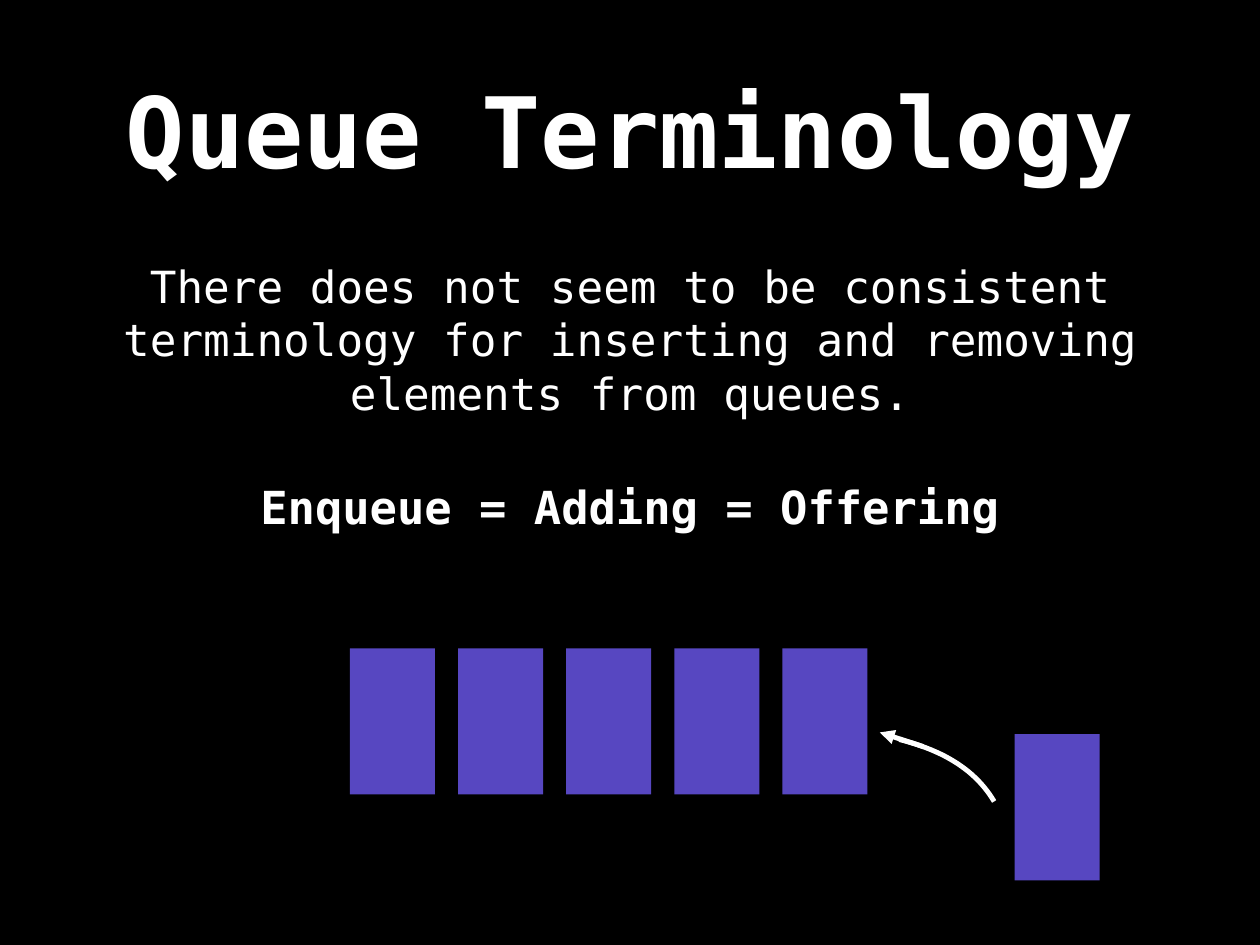
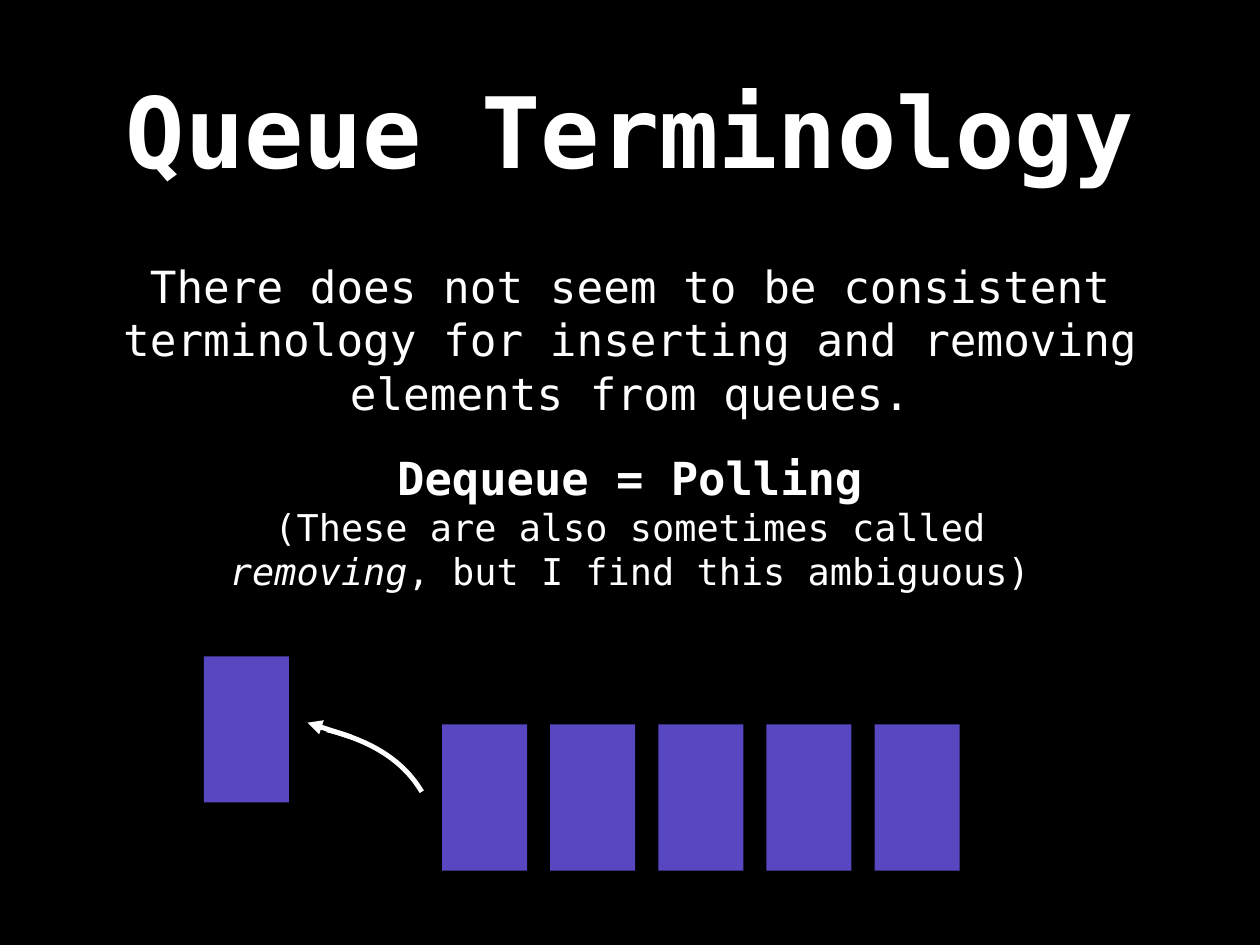
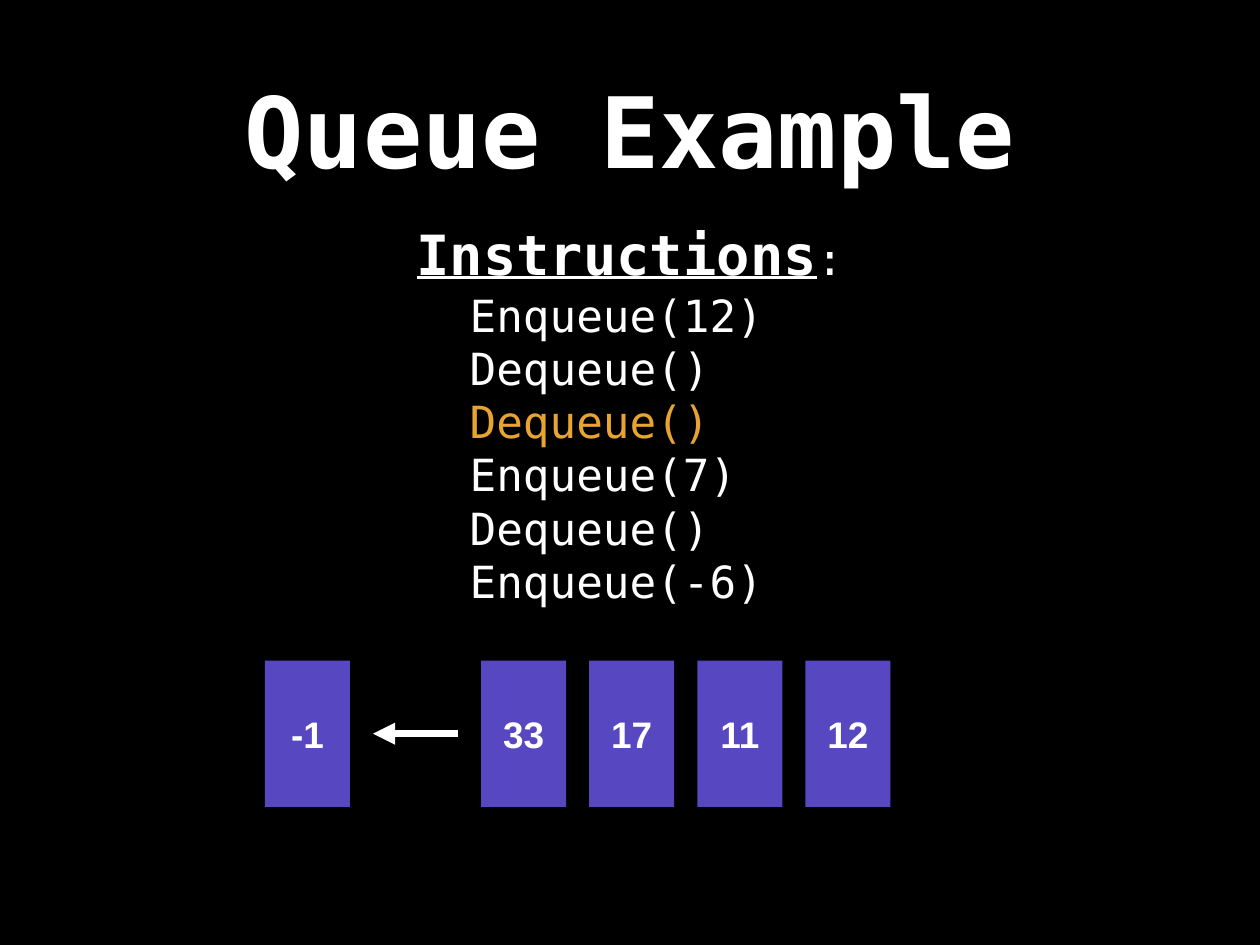
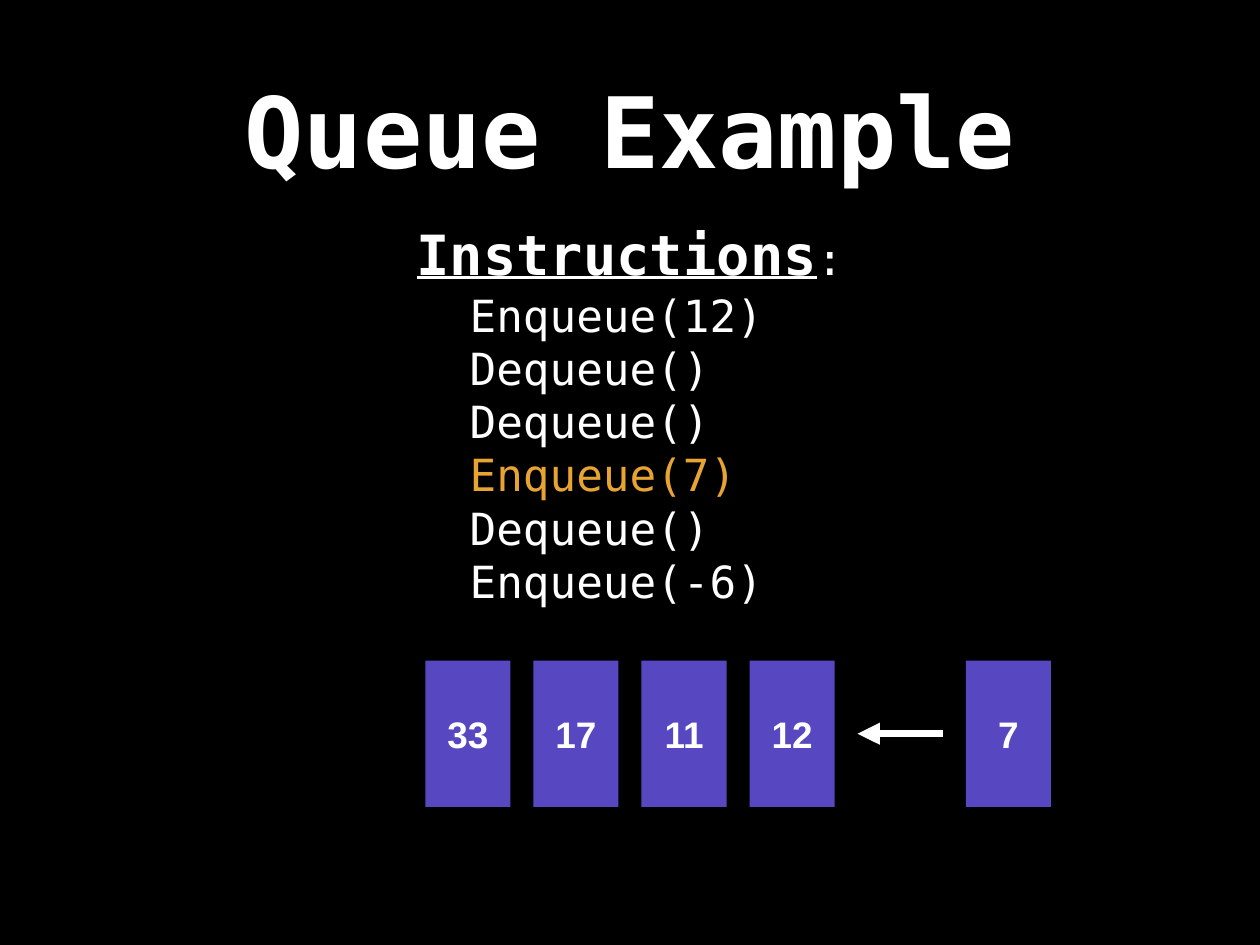
from dataclasses import dataclass

from lxml.etree import SubElement
from pptx import Presentation
from pptx.dml.color import RGBColor
from pptx.enum.shapes import MSO_CONNECTOR, MSO_SHAPE
from pptx.enum.text import MSO_ANCHOR, MSO_AUTO_SIZE, PP_ALIGN
from pptx.oxml.ns import qn
from pptx.util import Inches, Pt


@dataclass(frozen=True)
class Theme:
    background: RGBColor = RGBColor.from_string("000000")
    text: RGBColor = RGBColor.from_string("FFFFFF")
    box: RGBColor = RGBColor.from_string("5747C1")
    highlight: RGBColor = RGBColor.from_string("E8A432")
    font: str = "DejaVu Sans Mono"
    box_font: str = "Arial"
    title: int = 80
    heading: int = 45
    term: int = 37
    body: int = 36
    small: int = 30
    curve_line: int = 4
    arrow_line: int = 6


theme = Theme()
WIDTH, HEIGHT = 14.22, 10.67
BOX_WIDTH, BOX_HEIGHT, PITCH = 0.96, 1.65, 1.22
CURVE = [(0, 0), (0.52, 0.13), (0.87, 0.36), (1.07, 0.7)]
CURVE_STEPS = 24

INTRO = ("There does not seem to be consistent terminology for inserting "
         "and removing elements from queues.")
INSTRUCTIONS = ["Enqueue(12)", "Dequeue()", "Dequeue()",
                "Enqueue(7)", "Dequeue()", "Enqueue(-6)"]

term_slides = [
    {"term": "Enqueue = Adding = Offering", "term_top": 4.54, "term_height": 2.36,
     "note": [], "row": (3.95, 7.32), "loose": (11.45, 8.29), "curve": (10.15, 8.35)},
    {"term": "Dequeue = Polling", "term_top": 4.77, "term_height": 1.24,
     "note": ["(These are also sometimes called ", "removing",
              ", but I find this ambiguous)"],
     "row": (4.99, 8.18), "loose": (2.3, 7.41), "curve": (3.69, 8.24)},
]
example_slides = [
    {"current": 2, "left": 2.99, "slots": ["-1", None, "33", "17", "11", "12"]},
    {"current": 3, "left": 4.8, "slots": ["33", "17", "11", "12", None, "7"]},
]


def write(shape, paragraphs, size, bold=False, font=theme.font, align=PP_ALIGN.CENTER):
    frame = shape.text_frame
    frame.word_wrap = True
    frame.auto_size = MSO_AUTO_SIZE.NONE
    frame.vertical_anchor = MSO_ANCHOR.MIDDLE
    frame.margin_left = frame.margin_right = Inches(0.06)
    frame.margin_top = frame.margin_bottom = Inches(0.06)
    for index, runs in enumerate(paragraphs):
        paragraph = frame.paragraphs[0] if index == 0 else frame.add_paragraph()
        paragraph.alignment = align
        paragraph.font.name = font
        paragraph.font.size = Pt(size)
        paragraph.font.bold = bold
        paragraph.font.color.rgb = theme.text
        for text in runs:
            paragraph.add_run().text = text
    return frame.paragraphs


def centred_text(slide, top, width, height, paragraphs, size, **style):
    shape = slide.shapes.add_textbox(
        Inches((WIDTH - width) / 2), Inches(top), Inches(width), Inches(height))
    return write(shape, paragraphs, size, **style)


presentation = Presentation()
presentation.slide_width, presentation.slide_height = Inches(WIDTH), Inches(HEIGHT)
background = presentation.slide_master.background.fill
background.solid()
background.fore_color.rgb = theme.background
layout = presentation.slide_layouts.get_by_name("Title Only")
layout_title = layout.placeholders[0]
layout_title.left, layout_title.top = Inches(1.04), Inches(0.28)
layout_title.width, layout_title.height = Inches(12.14), Inches(2.36)

boxes, arrows = [], []

for content in term_slides:
    slide = presentation.slides.add_slide(layout)
    write(slide.shapes.title, [["Queue Terminology"]], theme.title, bold=True)
    centred_text(slide, content["term_top"], 12.14, content["term_height"],
                 [[content["term"]]], theme.term, bold=True)
    centred_text(slide, 2.92, 13.5, 1.82, [[INTRO]], theme.body)
    if content["note"]:
        note = centred_text(slide, 5.66, 10.61, 1.08, [content["note"]], theme.small)
        note[0].runs[1].font.italic = True

    left, top = content["curve"]
    points = []
    for step in range(CURVE_STEPS + 1):
        t = step / CURVE_STEPS
        weights = [(1 - t) ** 3, 3 * t * (1 - t) ** 2, 3 * t ** 2 * (1 - t), t ** 3]
        x, y = (sum(weight * point[axis] for weight, point in zip(weights, CURVE))
                for axis in (0, 1))
        points.append((Inches(left + x), Inches(top + y)))
    builder = slide.shapes.build_freeform(*points[0])
    builder.add_line_segments(points[1:], close=False)
    curve = builder.convert_to_shape()
    curve.shadow.inherit = False
    curve.fill.background()
    curve.line.color.rgb = theme.text
    curve.line.width = Pt(theme.curve_line)
    arrows.append((slide, left + 0.27, top + 0.08, left - 0.22, top - 0.08,
                   theme.curve_line))

    row_left, row_top = content["row"]
    boxes += [(slide, row_left + slot * PITCH, row_top, "") for slot in range(5)]
    boxes.append((slide, *content["loose"], ""))

for content in example_slides:
    slide = presentation.slides.add_slide(layout)
    write(slide.shapes.title, [["Queue Example"]], theme.title, bold=True)
    heading = centred_text(slide, 2.43, 13.5, 0.85, [["Instructions", ":"]], theme.body)
    label = heading[0].runs[0].font
    label.size, label.bold, label.underline = Pt(theme.heading), True, True
    steps = centred_text(slide, 3.29, 3.74, 3.53, [[step] for step in INSTRUCTIONS],
                         theme.body, align=PP_ALIGN.LEFT)
    steps[content["current"]].font.color.rgb = theme.highlight

    row_top = 7.46
    for slot, value in enumerate(content["slots"]):
        left = content["left"] + slot * PITCH
        if value is None:
            middle = row_top + BOX_HEIGHT / 2
            arrows.append((slide, left + BOX_WIDTH, middle, left, middle,
                           theme.arrow_line))
        else:
            boxes.append((slide, left, row_top, value))

for slide, left, top, value in boxes:
    box = slide.shapes.add_shape(MSO_SHAPE.RECTANGLE, Inches(left), Inches(top),
                                 Inches(BOX_WIDTH), Inches(BOX_HEIGHT))
    box.shadow.inherit = False
    box.fill.solid()
    box.fill.fore_color.rgb = theme.box
    box.line.fill.background()
    if value:
        write(box, [[value]], theme.small, bold=True, font=theme.box_font)

for slide, start_x, start_y, end_x, end_y, width in arrows:
    arrow = slide.shapes.add_connector(MSO_CONNECTOR.STRAIGHT, Inches(start_x),
                                       Inches(start_y), Inches(end_x), Inches(end_y))
    arrow.line.color.rgb = theme.text
    arrow.line.width = Pt(width)
    properties = arrow.element.spPr
    SubElement(properties.find(qn("a:ln")), qn("a:tailEnd"), type="triangle")
    SubElement(properties, qn("a:effectLst"))

presentation.save("out.pptx")
